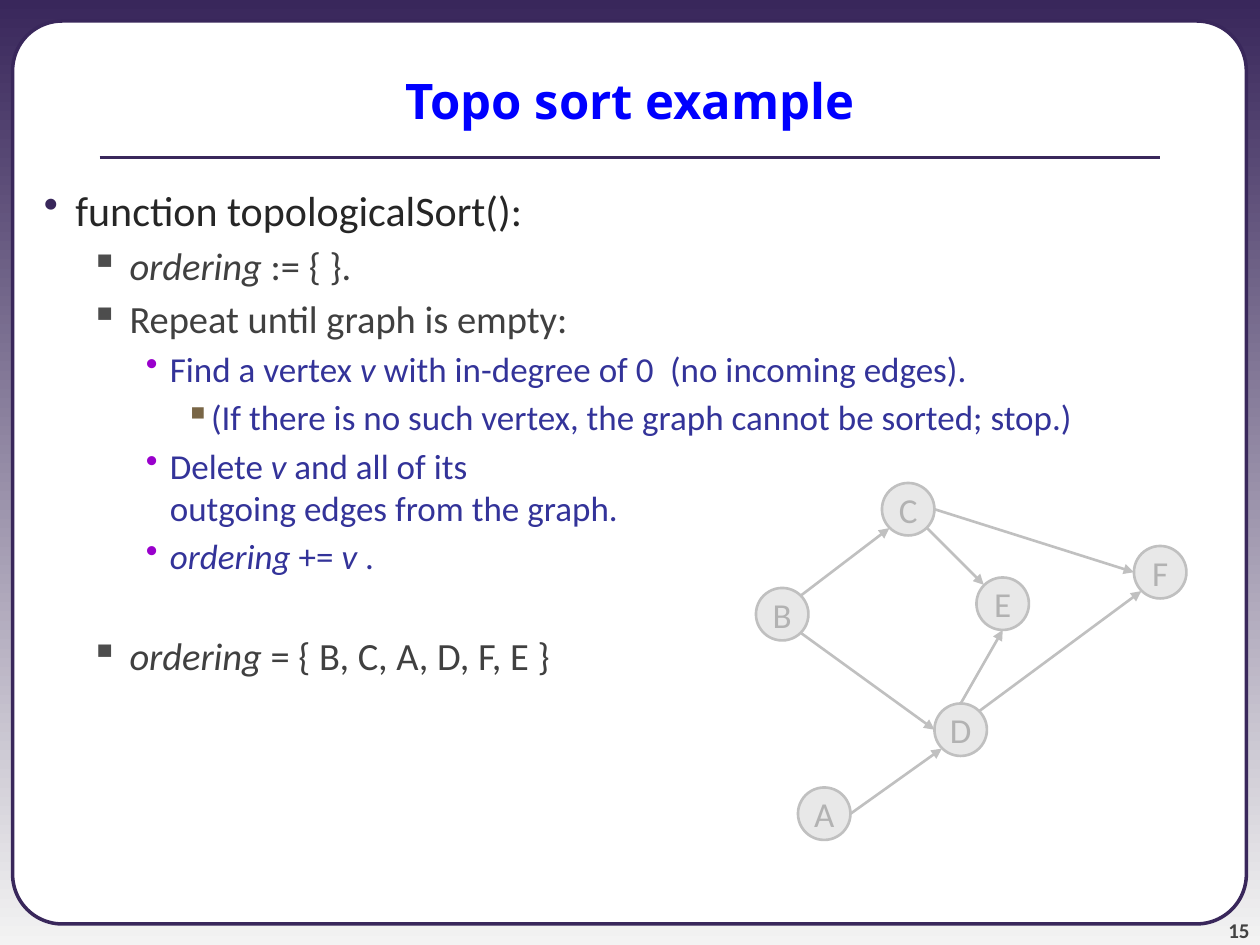
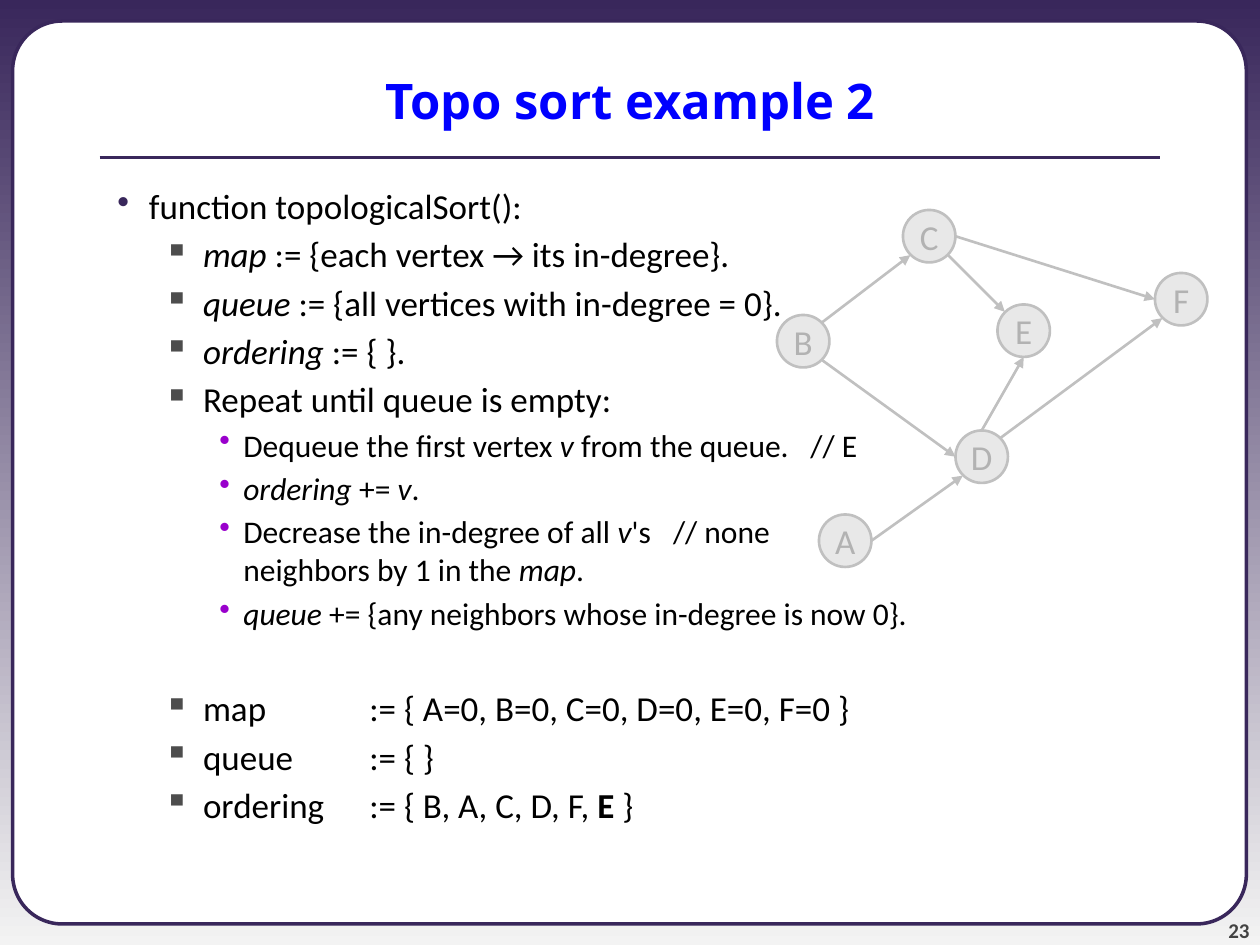
from lxml import etree
from pptx import Presentation
from pptx.dml.color import RGBColor
from pptx.enum.shapes import MSO_CONNECTOR, MSO_SHAPE
from pptx.enum.text import MSO_ANCHOR, MSO_AUTO_SIZE, PP_ALIGN
from pptx.oxml.ns import qn
from pptx.util import Inches, Pt

LINE = MSO_CONNECTOR.STRAIGHT
OVAL, ROUNDED = MSO_SHAPE.OVAL, MSO_SHAPE.ROUNDED_RECTANGLE
CENTER, RIGHT = PP_ALIGN.CENTER, PP_ALIGN.RIGHT
MIDDLE, BOTTOM = MSO_ANCHOR.MIDDLE, MSO_ANCHOR.BOTTOM
NO_FIT = MSO_AUTO_SIZE.NONE

COLS, ROWS = 120, 90  # grid of twelfths of an inch
TITLE_ONLY = 5
COLORS = {
    "purple": "39275B", "pale": "F3F3F3", "white": "FFFFFF", "title": "0000FF",
    "number": "424242", "black": "000000", "head": "262626", "body": "404040",
    "detail": "333399", "node": "E8E8E8", "edge": "C0C0C0", "label": "B2B2B2",
    "square": "4D4D4D", "violet": "9900CC", "brown": "796646",
}
TITLE_FONT = {"name": "Open Sans", "size": Pt(28), "bold": True}
NUMBER_FONT = {"name": "Calibri", "size": Pt(12), "bold": True}
LABEL_FONT = {"name": "Calibri", "size": Pt(20)}

# Per outline level: left margin and hanging indent in inches, bullet, bullet colour
LEVELS = [
    (0.5, -0.25, "•", "purple"),
    (0.93, -0.31, "▪", "square"),
    (1.25, -0.19, "•", "violet"),
    (1.56, -0.19, "▪", "brown"),
]
SPACE_BEFORE = 0.18  # share of the text size
BLOCK_GAP = 28       # points above a separate block of lines

NODE_SIZE = 5
NODES = {"C": (12, 0), "A": (4, 29), "F": (36, 6), "D": (17, 21),
         "B": (0, 10), "E": (21, 9)}
DIAGONAL = 0.72
SIDES = {"n": (0, -1), "e": (1, 0), "s": (0, 1), "w": (-1, 0),
         "ne": (DIAGONAL, -DIAGONAL), "se": (DIAGONAL, DIAGONAL),
         "sw": (-DIAGONAL, DIAGONAL), "nw": (-DIAGONAL, -DIAGONAL)}
EDGES = [("B", "ne", "C", "sw"), ("C", "e", "F", "w"), ("B", "se", "D", "w"),
         ("D", "ne", "F", "sw"), ("A", "e", "D", "sw"), ("C", "se", "E", "nw"),
         ("D", "n", "E", "s")]

# Each line: level, text with *italic* and |bold|, then optional tab stop and gap above
SLIDES = [
    {
        "title": "Topo sort example", "number": "15",
        "body": (0, 17, 120, 73), "graph": (72, 46),
        "sizes": [24, 22, 20, 20], "colors": ["head", "body", "detail", "detail"],
        "lines": [
            (0, "function topologicalSort():"),
            (1, "*ordering* := { }."),
            (1, "Repeat until graph is empty:"),
            (2, "Find a vertex *v* with in-degree of 0\t(no incoming edges).", 5.22),
            (3, "(If there is no such vertex, the graph cannot be sorted; stop.)"),
            (2, "Delete *v* and all of its\noutgoing edges from the graph."),
            (2, "*ordering* += *v* ."),
            (1, "*ordering* = { B, C, A, D, F, E }", None, BLOCK_GAP),
        ],
    },
    {
        "title": "Topo sort example 2", "number": "23",
        "body": (7, 17, 108, 66), "graph": (74, 20),
        "sizes": [20, 20, 18], "colors": ["black"] * 3,
        "lines": [
            (0, "function topologicalSort():"),
            (1, "*map* := {each vertex → its in-degree}."),
            (1, "*queue* := {all vertices with in-degree = 0}."),
            (1, "*ordering* := { }."),
            (1, "Repeat until queue is empty:"),
            (2, "Dequeue the first vertex *v* from the queue.\t// E", 5.75),
            (2, "*ordering* += *v*."),
            (2, "Decrease the in-degree of all *v*'s\t// none\n"
                "neighbors by 1 in the *map*.", 4.66),
            (2, "*queue* += {any neighbors whose in-degree is now 0}."),
            (1, "map\t:= { A=0, B=0, C=0, D=0, E=0, F=0 }", 2.25, BLOCK_GAP),
            (1, "queue\t:= { }", 2.25),
            (1, "ordering\t:= { B, A, C, D, F, |E| }", 2.25),
        ],
    },
]


def grid(*cells):
    return [Inches(c / 12) for c in cells]


def rgb(name):
    return RGBColor.from_string(COLORS[name])


def set_font(font, values, color):
    for name, value in values.items():
        setattr(font, name, value)
    font.color.rgb = rgb(color)


def set_text(tf, text, font, color, align, anchor):
    tf.vertical_anchor = anchor
    p = tf.paragraphs[0]
    p.alignment = align
    r = p.add_run()
    r.text = text
    set_font(r.font, font, color)


def add_panel(slide, kind, box, fill, line, width):
    sp = slide.shapes.add_shape(kind, *grid(*box))
    sp.shadow.inherit = False
    sp.fill.solid()
    sp.fill.fore_color.rgb = rgb(fill)
    sp.line.color.rgb = rgb(line)
    sp.line.width = Pt(width)
    return sp


def add_line(slide, start, end, color, width, arrow=False):
    cx = slide.shapes.add_connector(LINE, *grid(*start, *end))
    cx.line.color.rgb = rgb(color)
    cx.line.width = Pt(width)
    sp_pr = cx._element.spPr
    if arrow:
        etree.SubElement(sp_pr.find(qn("a:ln")), qn("a:tailEnd"), type="triangle")
    etree.SubElement(sp_pr, qn("a:effectLst"))


def set_bullet(p, level, tab):
    margin, indent, char, color = LEVELS[level]
    ppr = p._p.get_or_add_pPr()
    ppr.set("marL", str(Inches(margin)))
    ppr.set("indent", str(Inches(indent)))
    bu_color = etree.SubElement(ppr, qn("a:buClr"))
    etree.SubElement(bu_color, qn("a:srgbClr"), val=COLORS[color])
    etree.SubElement(ppr, qn("a:buChar"), char=char)
    if tab:
        tabs = etree.SubElement(ppr, qn("a:tabLst"))
        etree.SubElement(tabs, qn("a:tab"), pos=str(Inches(tab)), algn="l")


def add_runs(p, text, font, color):
    """Write text, where *...* is italic, |...| is bold and a newline breaks the line."""
    for i, row in enumerate(text.split("\n")):
        if i:
            p.add_line_break()
        for j, part in enumerate(row.split("*")):
            for k, piece in enumerate(part.split("|")):
                if piece:
                    r = p.add_run()
                    r.text = piece
                    style = {"italic": j % 2 == 1, "bold": k % 2 == 1}
                    set_font(r.font, font | style, color)


def add_outline(slide, box, lines, sizes, colors):
    tf = slide.shapes.add_textbox(*grid(*box)).text_frame
    tf.word_wrap = True
    for i, (level, text, *extra) in enumerate(lines):
        tab, gap = (*extra, *(None, 0)[len(extra):])
        p = tf.add_paragraph() if i else tf.paragraphs[0]
        p.level = level
        set_bullet(p, level, tab)
        if i:
            p.space_before = Pt(SPACE_BEFORE * sizes[level] + gap)
        font = {"name": "Calibri", "size": Pt(sizes[level])}
        add_runs(p, text, font, colors[level])


def node_point(origin, name, side):
    """Grid position of a compass point on a node's rim."""
    half = NODE_SIZE / 2
    return [o + n + half + half * s
            for o, n, s in zip(origin, NODES[name], SIDES[side])]


def add_graph(slide, origin):
    for name, (col, row) in NODES.items():
        box = (origin[0] + col, origin[1] + row, NODE_SIZE, NODE_SIZE)
        sp = add_panel(slide, OVAL, box, "node", "edge", 1.5)
        sp.text_frame.word_wrap = False
        set_text(sp.text_frame, name, LABEL_FONT, "label", CENTER, MIDDLE)
    for tail, tail_side, head, head_side in EDGES:
        add_line(slide, node_point(origin, tail, tail_side),
                 node_point(origin, head, head_side), "edge", 1.5, arrow=True)


def set_background(master):
    fill = master.background.fill
    fill.gradient()
    fill.gradient_angle = 270
    for stop, color, position in zip(fill.gradient_stops, ("purple", "pale"), (0, 1)):
        stop.color.rgb = rgb(color)
        stop.position = position


def add_base_slide(prs, title, number):
    """Add a slide with the frame, page number, rule and title that all slides share."""
    slide = prs.slides.add_slide(prs.slide_layouts[TITLE_ONLY])
    sp = slide.shapes.title
    frame = add_panel(slide, ROUNDED, (1.2, 2, 117.5, 86), "white", "purple", 2)
    frame.adjustments[0] = 0.055
    sp._element.addprevious(frame._element)

    sp.left, sp.top, sp.width, sp.height = grid(0, 2, COLS, 15)
    sp.text_frame.auto_size = NO_FIT
    set_text(sp.text_frame, title, TITLE_FONT, "title", CENTER, MIDDLE)

    tf = slide.shapes.add_textbox(*grid(109, 85, 10, 4.8)).text_frame
    tf.word_wrap = True
    for side in ("left", "top", "right", "bottom"):
        setattr(tf, f"margin_{side}", 0)
    set_text(tf, number, NUMBER_FONT, "number", RIGHT, BOTTOM)

    add_line(slide, (9.5, 15), (COLS - 9.5, 15), "purple", 2.25)
    return slide


def main():
    prs = Presentation()
    prs.slide_width, prs.slide_height = grid(COLS, ROWS)
    set_background(prs.slide_master)
    for page in SLIDES:
        slide = add_base_slide(prs, page["title"], page["number"])
        add_outline(slide, page["body"], page["lines"], page["sizes"], page["colors"])
        add_graph(slide, page["graph"])
    prs.save("out.pptx")


if __name__ == "__main__":
    main()
